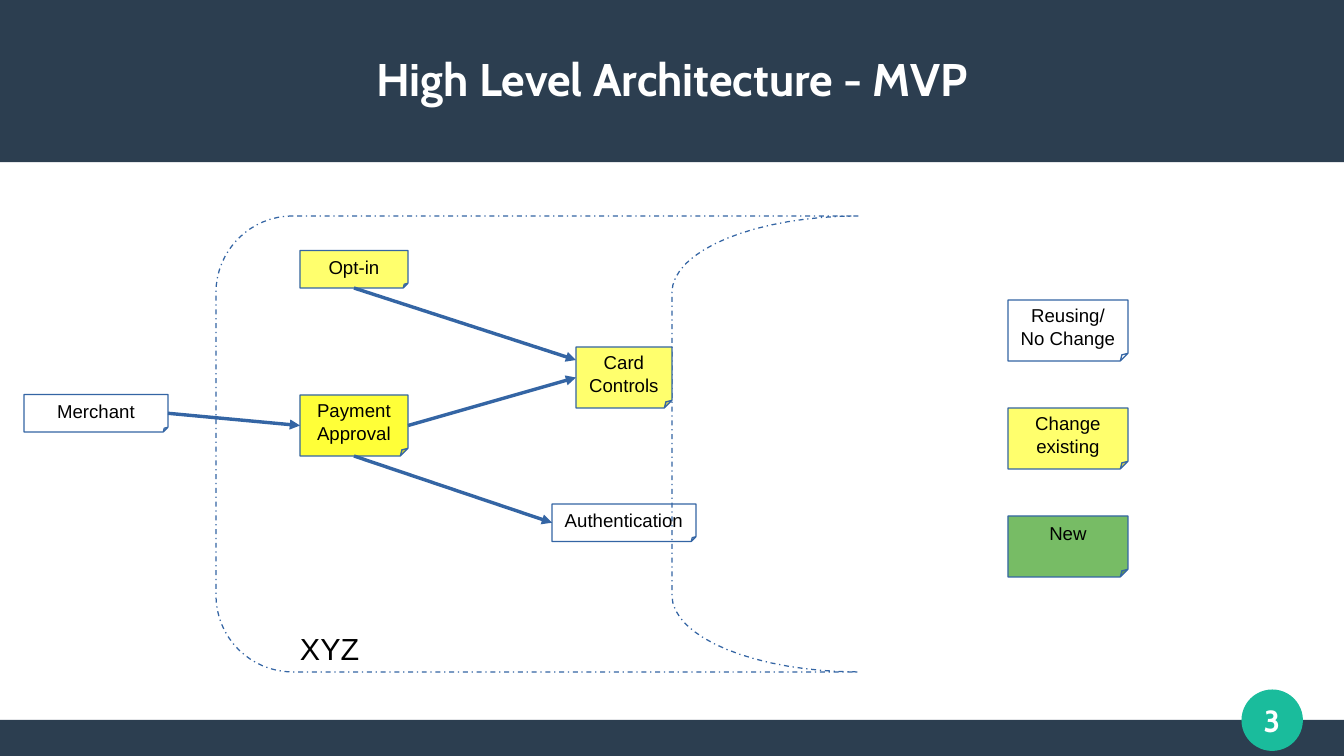
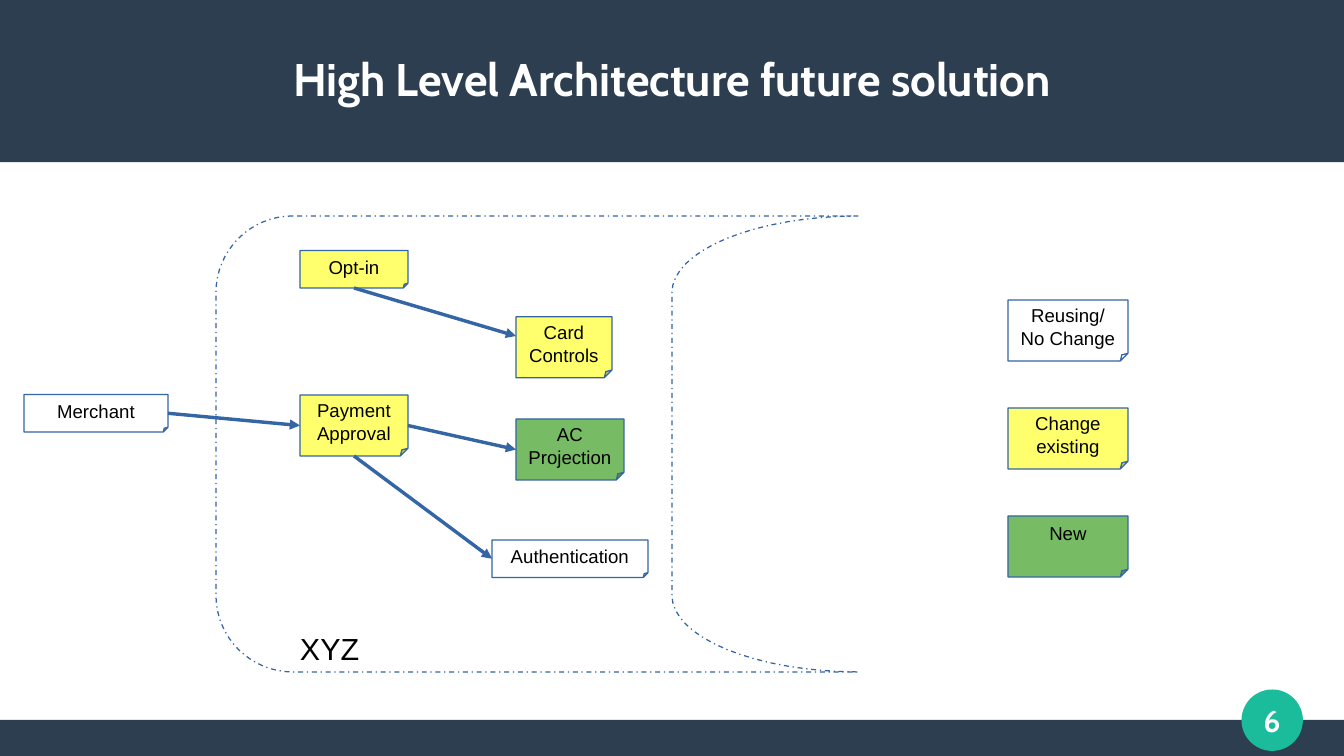
"""Build two architecture slides with a shared frame, zone and legend."""
from dataclasses import dataclass
from math import cos, radians, sin

from lxml.etree import SubElement
from pptx import Presentation
from pptx.dml.color import RGBColor as Rgb
from pptx.enum.dml import MSO_LINE as Dash
from pptx.enum.shapes import MSO_CONNECTOR as Link
from pptx.enum.shapes import MSO_SHAPE as Kind
from pptx.enum.text import MSO_ANCHOR as Anchor
from pptx.enum.text import PP_ALIGN as Align
from pptx.oxml.ns import qn
from pptx.util import Cm, Pt


@dataclass(frozen=True)
class Theme:
    navy: str = "2C3E50"
    teal: str = "1ABC9C"
    white: str = "FFFFFF"
    black: str = "000000"
    edge: str = "3465A4"
    yellow: str = "FFFF6D"
    vivid: str = "FFFF38"
    green: str = "77BC65"
    head: str = "Cabin"
    body: str = "Arial"
    title: float = 27
    large: float = 18
    small: float = 11


LOOK = Theme()
TOP, LEFT, BASE, RIGHT = range(4)
LOW, TALL = 0.78, 1.27


def write(shape, text, size=LOOK.small, font=LOOK.body, color=LOOK.black,
          bold=False, align=Align.CENTER, anchor=Anchor.MIDDLE, pad=(0.25, 0.13)):
    frame = shape.text_frame
    frame.word_wrap = True
    frame.vertical_anchor = anchor
    frame.margin_left = frame.margin_right = Cm(pad[0])
    frame.margin_top = frame.margin_bottom = Cm(pad[1])
    para = frame.paragraphs[0]
    para.alignment = align
    run = para.add_run()
    run.text = text
    run.font.size, run.font.name, run.font.bold = Pt(size), font, bold
    run.font.color.rgb = Rgb.from_string(color)


def paint(shape, fill=None, edge=None, width=0):
    shape.shadow.inherit = False
    if fill:
        shape.fill.solid()
        shape.fill.fore_color.rgb = Rgb.from_string(fill)
    else:
        shape.fill.background()
    if edge:
        shape.line.color.rgb = Rgb.from_string(edge)
        shape.line.width = Pt(width)
    else:
        shape.line.fill.background()


def note(slide, text, x, y, wide, high, fill=None, anchor=Anchor.MIDDLE):
    shape = slide.shapes.add_shape(Kind.FOLDED_CORNER, Cm(x), Cm(y), Cm(wide), Cm(high))
    fold = next(shape.element.iter(qn("a:avLst")))
    SubElement(fold, qn("a:gd"), name="adj", fmla="val 12500")
    paint(shape, fill, LOOK.edge)
    write(shape, text, anchor=anchor)
    return shape


def label(slide, text, x, y, wide, high, **style):
    write(slide.shapes.add_textbox(Cm(x), Cm(y), Cm(wide), Cm(high)), text, **style)


def arrow(slide, start, side, goal=None, spot=(0, 0)):
    x, y = map(Cm, spot)
    line = slide.shapes.add_connector(Link.STRAIGHT, Cm(0), Cm(0), x, y)
    line.begin_connect(start, side)
    if goal:
        line.end_connect(goal, LEFT)
    line.line.color.rgb = Rgb.from_string(LOOK.edge)
    line.line.width = Pt(0)
    stroke = line.element.spPr.find(qn("a:ln"))
    SubElement(stroke, qn("a:tailEnd"), type="triangle")
    SubElement(line.element.spPr, qn("a:effectLst"))


def arc(x, y, wide, high, first, last, steps=16):
    turns = [radians(first + (last - first) * i / steps) for i in range(steps + 1)]
    return [(Cm(x + wide * cos(t)), Cm(y + high * sin(t))) for t in turns]


def zone(slide):
    upper, lower, bend = 6.1, 12.4, 1.6
    dots = (arc(6.1, upper, bend, bend, 270, 180) + arc(6.1, lower, bend, bend, 180, 90)
            + arc(17.9, lower, 3.9, bend, 90, 180) + arc(17.9, upper, 3.9, bend, 180, 270))
    pen = slide.shapes.build_freeform(*dots[0])
    pen.add_line_segments(dots[1:], close=True)
    shape = pen.convert_to_shape()
    paint(shape, edge=LOOK.edge)
    shape.line.dash_style = Dash.DASH_DOT


def brand(master, slide):
    parts = [(Kind.RECTANGLE, (0, 15, 28, 0.75), LOOK.navy, None),
             (Kind.RECTANGLE, (0, 0, 28, 3.38), LOOK.navy, None),
             (Kind.OVAL, (25.88, 14.38, 1.25, 1.25), LOOK.teal, LOOK.teal)]
    for i, (kind, box, fill, edge) in enumerate(parts):
        shape = slide.shapes.add_shape(kind, *map(Cm, box))
        paint(shape, fill, edge, 0.85)
        next(shape.element.iter(qn("p:cNvPr"))).set("id", str(20 + i))
        master.shapes.element.insert(2 + i, shape.element)


def legend(slide):
    rows = [("Reusing/ No Change", None, Anchor.MIDDLE),
            ("Change existing", LOOK.yellow, Anchor.MIDDLE),
            ("New", LOOK.green, Anchor.TOP)]
    for i, (text, fill, anchor) in enumerate(rows):
        note(slide, text, 21, 6.25 + 2.25 * i, 2.5, TALL, fill, anchor)


def common(slide, title, page, fill):
    """Draw what both slides show and return the two starting notes."""
    style = dict(font=LOOK.head, color=LOOK.white, bold=True, pad=(0, 0))
    write(slide.shapes.title, title, size=LOOK.title, **style)
    label(slide, page, 25.5, 14.25, 2, 1.5, size=LOOK.large, **style)
    zone(slide)
    label(slide, "XYZ", 6, 13, 4, 0.97, size=LOOK.large, align=Align.LEFT, anchor=Anchor.TOP)
    opt = note(slide, "Opt-in", 6.25, 5.22, 2.25, LOW, LOOK.yellow)
    shop = note(slide, "Merchant", 0.5, 8.22, 3, LOW)
    pay = note(slide, "Payment Approval", 6.25, 8.23, 2.25, TALL, fill)
    arrow(slide, shop, RIGHT, pay)
    legend(slide)
    return opt, pay


def present(slide):
    opt, pay = common(slide, "High Level Architecture - MVP", "3", LOOK.vivid)
    card = note(slide, "Card Controls", 12, 7.23, 2, TALL, LOOK.yellow)
    auth = note(slide, "Authentication", 11.5, 10.5, 3, LOW)
    arrow(slide, opt, BASE, spot=(12, 7.5))
    arrow(slide, pay, RIGHT, card)
    arrow(slide, pay, BASE, auth)


def future(slide):
    opt, pay = common(slide, "High Level Architecture future solution", "6", LOOK.yellow)
    note(slide, "Card Controls", 10.75, 6.6, 2, TALL, LOOK.yellow)
    plan = note(slide, "AC Projection", 10.75, 8.73, 2.25, TALL, LOOK.green)
    auth = note(slide, "Authentication", 10.25, 11.25, 3.25, LOW)
    arrow(slide, opt, BASE, spot=(10.75, 7))
    arrow(slide, pay, RIGHT, plan)
    arrow(slide, pay, BASE, auth)


def main():
    deck = Presentation()
    deck.slide_width, deck.slide_height = Cm(28), Cm(15.75)
    plain = deck.slide_layouts[5]
    head = plain.placeholders[0]
    head.left, head.top, head.width, head.height = map(Cm, (1, 0.63, 26, 2))
    slides = [deck.slides.add_slide(plain) for _ in range(2)]
    brand(deck.slide_master, slides[0])
    present(slides[0])
    future(slides[1])
    deck.save("out.pptx")


if __name__ == "__main__":
    main()
